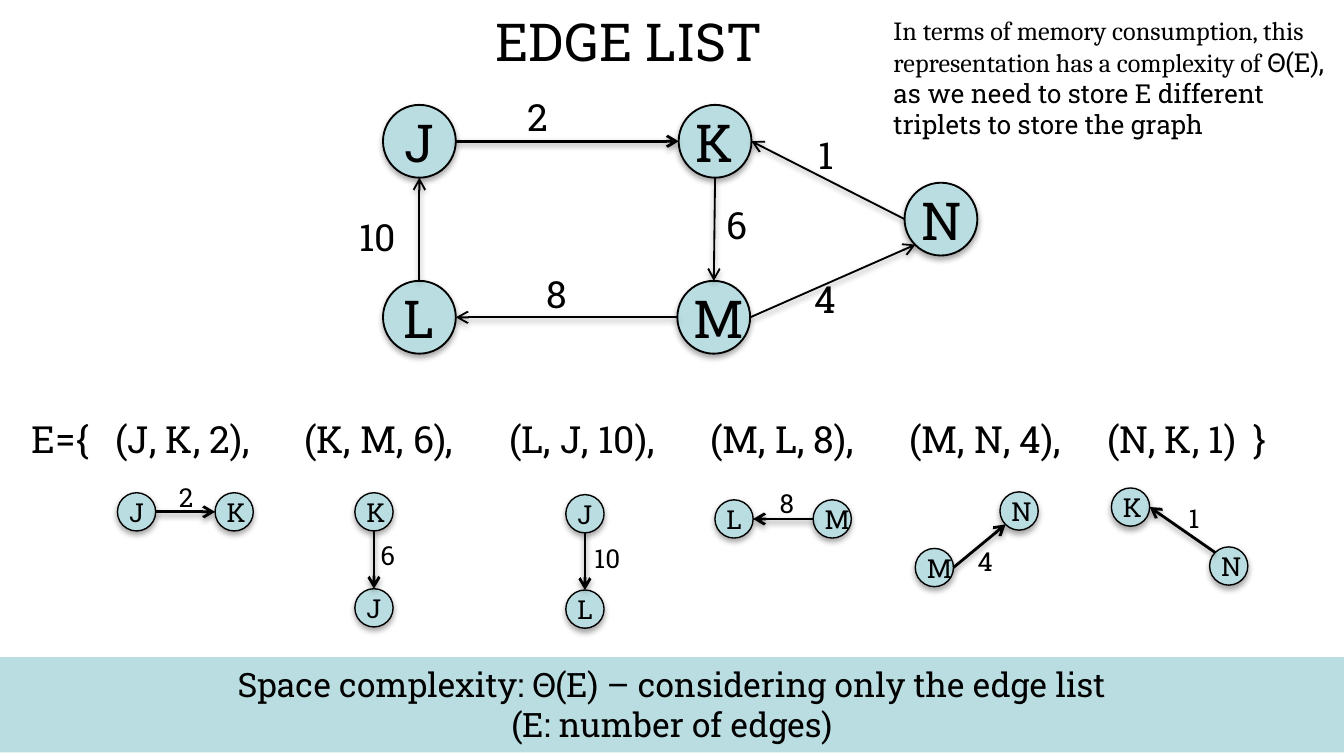
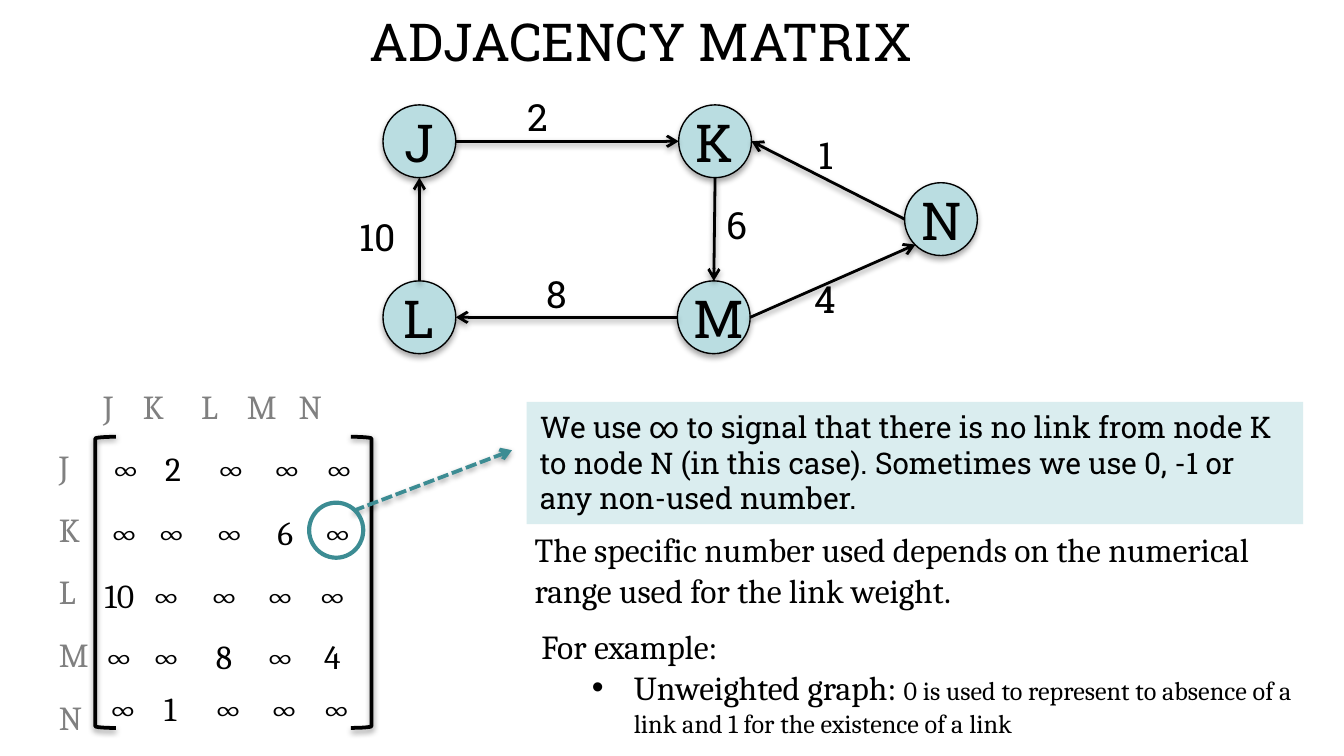
"""Build two slides on graph representations: edge list and adjacency matrix."""
from lxml import etree
from pptx import Presentation
from pptx.dml.color import RGBColor
from pptx.enum.dml import MSO_LINE
from pptx.enum.shapes import MSO_CONNECTOR, MSO_SHAPE
from pptx.enum.text import MSO_ANCHOR, MSO_AUTO_SIZE, PP_ALIGN
from pptx.oxml import parse_xml
from pptx.oxml.ns import qn
from pptx.util import Pt

LEFT, CENTER = PP_ALIGN.LEFT, PP_ALIGN.CENTER
TOP, MIDDLE = MSO_ANCHOR.TOP, MSO_ANCHOR.MIDDLE
OVAL, RECTANGLE = MSO_SHAPE.OVAL, MSO_SHAPE.RECTANGLE
LEFT_BRACKET, RIGHT_BRACKET = MSO_SHAPE.LEFT_BRACKET, MSO_SHAPE.RIGHT_BRACKET
STRAIGHT, DASH = MSO_CONNECTOR.STRAIGHT, MSO_LINE.SQUARE_DOT
NO_AUTOFIT = MSO_AUTO_SIZE.NONE

SLAB, SERIF = "Roboto Slab", "Cambria"
BLACK, GRAY, TEAL = "000000", "808080", "3C8C93"
LIGHT_BLUE, PALE_BLUE = "BADDE1", "DAEDEF"
SHADOW = (
    '<a:outerShdw xmlns:a="http://schemas.openxmlformats.org/drawingml/2006/main" '
    'blurRad="40000" dist="{distance}" dir="5400000" rotWithShape="0">'
    '<a:srgbClr val="000000"><a:alpha val="{alpha}"/></a:srgbClr></a:outerShdw>'
)
SIDES = {
    "left": (0, 0.5), "right": (1, 0.5), "top": (0.5, 0), "bottom": (0.5, 1),
    "top left": (0.15, 0.15), "bottom left": (0.15, 0.85),
}


def format_shape(shape, paragraphs, color=BLACK, align=LEFT, anchor=TOP, fill=None,
                 line=None, line_width=1, shadow=None, wrap=True):
    """Style a shape and write its paragraphs, each a list of (text, size, font) runs."""
    shape.shadow.inherit = False
    if shadow:
        effects = shape._element.spPr.find(qn("a:effectLst"))
        effects.append(parse_xml(SHADOW.format(distance=shadow[0], alpha=shadow[1])))
    if fill:
        shape.fill.solid()
        shape.fill.fore_color.rgb = RGBColor.from_string(fill)
    else:
        shape.fill.background()
    if line:
        shape.line.color.rgb = RGBColor.from_string(line)
        shape.line.width = Pt(line_width)
    else:
        shape.line.fill.background()
    frame = shape.text_frame
    frame.auto_size = NO_AUTOFIT
    frame.word_wrap = wrap
    frame.vertical_anchor = anchor
    for index, runs in enumerate(paragraphs):
        paragraph = frame.add_paragraph() if index else frame.paragraphs[0]
        paragraph.alignment = align
        for text, size, font in runs:
            run = paragraph.add_run()
            run.text = text
            run.font.size = Pt(size)
            run.font.name = font
            run.font.color.rgb = RGBColor.from_string(color)
    return shape


def add_arrow(slide, start, end, width, color=BLACK, dash=None):
    """Draw a straight arrow between two points given in points."""
    arrow = slide.shapes.add_connector(STRAIGHT, *(Pt(value) for value in (*start, *end)))
    arrow.line.color.rgb = RGBColor.from_string(color)
    arrow.line.width = Pt(width)
    if dash:
        arrow.line.dash_style = dash
    properties = arrow._element.spPr
    etree.SubElement(properties.find(qn("a:ln")), qn("a:tailEnd"), type="arrow")
    effects = etree.SubElement(properties, qn("a:effectLst"))
    effects.append(parse_xml(SHADOW.format(distance=20000, alpha=38000)))


presentation = Presentation()
presentation.slide_width, presentation.slide_height = Pt(720), Pt(405)
title_only = presentation.slide_layouts[5]

slides = []
for title, left, width in (("EDGE LIST", 232, 210), ("ADJACENCY MATRIX", 169, 349)):
    slide = presentation.slides.add_slide(title_only)
    heading = slide.shapes.title
    heading.left, heading.top = Pt(left), Pt(1.5)
    heading.width, heading.height = Pt(width), Pt(41)
    format_shape(heading, [[(title, 28, SLAB)]], align=CENTER)
    slides.append(slide)
edge_slide, matrix_slide = slides

network_nodes = {
    "M": (362.9, 150.5), "K": (363.6, 56.2), "L": (205.2, 150.5),
    "J": (205.2, 56.2), "N": (484.6, 97.9),
}
network_edges = [
    ("J", "right", "K", "left", "2", (288, 62.6)),
    ("K", "bottom", "M", "top", "6", (394.6, 120.2)),
    ("M", "left", "L", "right", "8", (298.1, 157)),
    ("L", "top", "J", "bottom", "10", (202.3, 126.7)),
    ("N", "left", "K", "right", "1", (442.8, 82.8)),
    ("M", "right", "N", "bottom left", "4", (442.1, 159.8)),
]
small_graphs = [
    ({"J": (62.9, 264), "K": (115.2, 264)},
     ("J", "right", "K", "left", "2", (99.7, 267.1))),
    ({"K": (190.1, 264), "J": (190.1, 315.4)},
     ("K", "bottom", "J", "top", "6", (207.7, 298.1))),
    ({"J": (303.1, 265), "L": (303.1, 316.1)},
     ("J", "bottom", "L", "top", "10", (325.4, 299.5))),
    ({"M": (435.6, 267.8), "L": (383, 267.8)},
     ("M", "left", "L", "right", "8", (421.6, 270))),
    ({"M": (490.3, 293.8), "N": (535.7, 263.5)},
     ("M", "right", "N", "bottom left", "4", (527.8, 301))),
    ({"N": (648, 293), "K": (595.4, 261.4)},
     ("N", "top left", "K", "right", "1", (639.7, 278))),
]
graphs = [
    (edge_slide, network_nodes, network_edges, 39, 28, 20, 1, 1),
    (matrix_slide, network_nodes, network_edges, 39, 28, 20, 0.75, 1.5),
]
for nodes, edge in small_graphs:
    graphs.append((edge_slide, nodes, [edge], 20.5, 14, 14, 0.75, 1.5))

for slide, nodes, edges, diameter, node_size, weight_size, outline, edge_width in graphs:
    for name, (left, top) in nodes.items():
        node = slide.shapes.add_shape(OVAL, Pt(left), Pt(top), Pt(diameter), Pt(diameter))
        format_shape(node, [[(name, node_size, SLAB)]], anchor=MIDDLE, fill=LIGHT_BLUE,
                     align=LEFT if name == "M" and node_size == 28 else CENTER,
                     line=BLACK, line_width=outline, shadow=(23000, 35000))
        frame = node.text_frame
        frame.margin_left = frame.margin_right = Pt(3.2)
        frame.margin_top = frame.margin_bottom = Pt(3.6)
    for source, source_side, target, target_side, weight, (x, y) in edges:
        start, end = (
            [corner + diameter * share for corner, share in zip(nodes[name], SIDES[side])]
            for name, side in ((source, source_side), (target, target_side))
        )
        add_arrow(slide, start, end, 1.5 if weight == "2" else edge_width)
        height = weight_size + 11
        label = slide.shapes.add_textbox(Pt(x - 15), Pt(y - height / 2), Pt(30), Pt(height))
        format_shape(label, [[(weight, weight_size, SLAB)]], align=CENTER, wrap=False)

matrix_stops = (33, 64, 94, 122)
tabbed_lines = [
    (edge_slide, 10, 219.6, 700, 20, SLAB, BLACK, "l", (45, 146, 256, 363.5, 470, 576, 654.5),
     ("E={", "(J, K, 2),", "(K, M, 6),", "(L, J, 10),", "(M, L, 8),", "(M, N, 4),",
      "(N, K, 1)", "}")),
    (matrix_slide, 48.2, 203, 152, 18, SERIF, GRAY, "ctr", (27, 57, 85, 111), "JKLMN"),
]
matrix_rows = [
    (52.6, 236.2, "∞2∞∞∞"),
    (51.8, 270.7, "∞∞∞6∞"),
    (49, 304.6, ("10", *"∞∞∞∞")),
    (49, 337, "∞∞8∞4"),
    (51.1, 365, "∞1∞∞∞"),
]
for left, top, cells in matrix_rows:
    tabbed_lines.append((matrix_slide, left, top, 152, 18, SERIF, BLACK, "ctr",
                         matrix_stops, cells))
for slide, left, top, width, size, font, color, tab_align, stops, cells in tabbed_lines:
    row = slide.shapes.add_textbox(Pt(left), Pt(top), Pt(width), Pt(size + 11))
    format_shape(row, [[("\t".join(cells), size, font)]], color=color)
    properties = row.text_frame.paragraphs[0]._p.get_or_add_pPr()
    tabs = etree.SubElement(properties, qn("a:tabLst"))
    for stop in stops:
        etree.SubElement(tabs, qn("a:tab"), pos=str(Pt(stop)), algn=tab_align)

band = edge_slide.shapes.add_shape(RECTANGLE, Pt(-0.5), Pt(352.1), Pt(721), Pt(51))
format_shape(band, [
    [("Space complexity: Θ(E) – considering only the edge list", 18, SLAB)],
    [("(E: number of edges)", 18, SLAB)],
], align=CENTER, fill=LIGHT_BLUE)

memory_note = edge_slide.shapes.add_textbox(Pt(471.6), Pt(4.3), Pt(249), Pt(75))
format_shape(memory_note, [[
    ("In terms of memory consumption, this representation has a complexity of ", 14, SERIF),
    ("Θ(E), as we need to store E different triplets to store the graph", 14, SLAB),
]])

for bracket_type, left in ((LEFT_BRACKET, 51.1), (RIGHT_BRACKET, 188)):
    bracket = matrix_slide.shapes.add_shape(bracket_type, Pt(left), Pt(234), Pt(11), Pt(156))
    format_shape(bracket, [], line=BLACK, line_width=2, shadow=(20000, 38000))

row_names = matrix_slide.shapes.add_textbox(Pt(24.5), Pt(235.4), Pt(31), Pt(165))
format_shape(row_names, [[(name, 18, SERIF)] for name in "JKLMN"], color=GRAY, wrap=False)
for paragraph in row_names.text_frame.paragraphs[1:]:
    paragraph.space_before = Pt(12)

add_arrow(matrix_slide, (189.4, 273.6), (274.3, 241.2), 2, TEAL, DASH)
ring = matrix_slide.shapes.add_shape(OVAL, Pt(165.6), Pt(269.3), Pt(29), Pt(29.5))
format_shape(ring, [], line=TEAL, line_width=2.25)

infinity_note = matrix_slide.shapes.add_shape(
    RECTANGLE, Pt(282.2), Pt(215.3), Pt(416), Pt(65.5))
format_shape(infinity_note, [[(
    "We use ∞ to signal that there is no link from node K to node N (in this case). "
    "Sometimes we use 0, -1 or any non-used number.", 16, SLAB)]], fill=PALE_BLUE)

range_note = matrix_slide.shapes.add_textbox(Pt(279.4), Pt(280), Pt(416), Pt(51))
format_shape(range_note, [[(
    "The specific number used depends on the numerical range used for the link weight.",
    18, SERIF)]])

example = matrix_slide.shapes.add_textbox(Pt(283), Pt(332), Pt(421), Pt(67.5))
format_shape(example, [
    [("For example:", 18, SERIF)],
    [("Unweighted graph: ", 18, SERIF),
     ("0 is used to represent to absence of a link and 1 for the existence of a link",
      14, SERIF)],
])
bullet = example.text_frame.paragraphs[1]
bullet.level = 1
properties = bullet._p.get_or_add_pPr()
properties.set("marL", str(Pt(49.5)))
properties.set("indent", str(Pt(-22.5)))
etree.SubElement(properties, qn("a:buFont"), typeface="Arial")
etree.SubElement(properties, qn("a:buChar"), char="•")

presentation.save("out.pptx")
